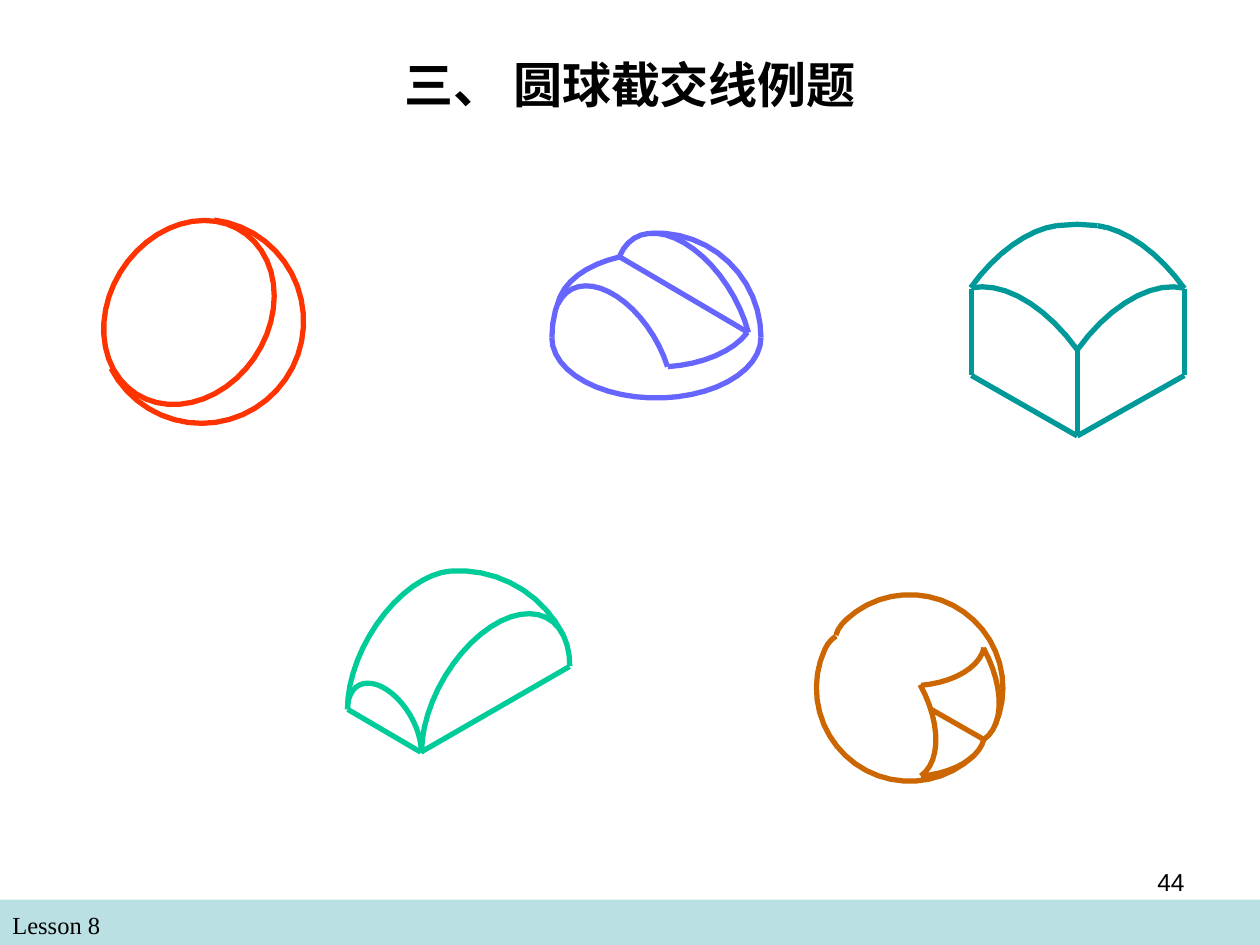
import math

import pptx
import pptx.util
import pptx.dml.color
import pptx.enum.shapes
import pptx.enum.text
import pptx.oxml.ns
from lxml import etree

WIDE, HIGH = pptx.util.Inches(10), pptx.util.Inches(7.5)
STEP = 8  # degrees between the points of an arc

COLORS = {
    "text": "000000", "band": "BBE0E3", "ball": "FF3300", "slot": "6666FF",
    "cube": "009999", "dome": "00CC99", "notch": "CC6600",
}

# Isometric axes: the direction of each on the slide, clockwise from the right.
AXES = {"x": 30, "y": 150, "z": -90}
FLAT = 1 / math.sqrt(3)  # minor over major axis of a circle square to an axis


def color(name):
    return pptx.dml.color.RGBColor.from_string(COLORS[name])


def emu(*nums):
    return [pptx.util.Inches(num) for num in nums]


def move(point, angle, size):
    turn = math.radians(angle)
    return point[0] + size * math.cos(turn), point[1] + size * math.sin(turn)


def arc(mid, rad, start, end, ratio=1, tilt=0):
    """Points clockwise from start to end on an ellipse whose minor axis has the tilt."""
    def angle(point):
        dist = math.dist(mid, point)
        turn = math.atan2(point[1] - mid[1], point[0] - mid[0]) - math.radians(tilt)
        return math.degrees(math.atan2(dist * math.sin(turn),
                                       dist * math.cos(turn) / ratio))

    first = angle(start)
    sweep = (angle(end) - first) % 360 or 360
    count = max(2, math.ceil(sweep / STEP))
    points = []
    for num in range(count + 1):
        turn = math.radians(first + sweep * num / count)
        along = move(mid, tilt, rad * ratio * math.cos(turn))
        points.append(move(along, tilt + 90, rad * math.sin(turn)))
    return points


class Sphere:
    def __init__(self, mid, rad):
        self.mid, self.rad = mid, rad

    def edge(self, start, end):
        """Arc of the outline."""
        return arc(self.mid, self.rad, start, end)

    def cut(self, axis, shift, start, end):
        """Arc of the section square to an axis, its centre moved along it by shift."""
        mid = move(self.mid, AXES[axis], shift)
        rad = math.sqrt(self.rad ** 2 - 1.5 * shift ** 2)
        return arc(mid, rad, start, end, FLAT, AXES[axis])


def ball():
    """A sphere with one slanted cut."""
    full = Sphere((1.6, 2.55), 0.81)
    left = (0.95, 2.16)
    return [
        arc((1.5, 2.48), 0.77, left, left, 0.82, 33.5),
        full.edge((1.7, 1.75), (0.89, 2.92)),
    ]


def slot():
    """A half sphere with a step cut along the x axis."""
    half = Sphere((5.21, 2.68), 0.83)
    west, east = (4.38, 2.68), (6.04, 2.68)
    near, far = (4.43, 2.41), (4.92, 2.04)    # left ends of the floor
    front, back = (5.3, 2.91), (5.94, 2.64)   # right ends of the floor
    floor, low, high = 0.22, 0.4, -0.25
    return [
        half.cut("z", 0, east, west),
        half.cut("z", floor, near, far),
        half.cut("z", floor, back, front),
        [far, back],
        half.cut("y", high, far, back),
        half.cut("y", low, near, front),
        half.edge(west, (4.45, 2.36)),
        half.edge((5.17, 1.85), east),
    ]


def cube():
    """A square block with a round top."""
    top = Sphere((8.55, 2.98), 1.2)
    tall, side = 0.69, 0.49
    west, east, south = (7.71, 2.98), (9.4, 2.98), (8.55, 3.46)
    left, right, front = [(col, row - tall) for col, row in (west, east, south)]
    begin, end = (8.39, 1.79), (8.71, 1.79)
    return [
        [left, west], [west, south], [south, east], [east, right], [south, front],
        top.cut("y", side, left, front),
        top.cut("x", side, front, right),
        top.cut("x", -side, left, begin),
        top.edge(begin, end),
        top.cut("y", -side, end, right),
    ]


def dome():
    """A half sphere cut by upright planes."""
    half = Sphere((3.64, 5.46), 0.93)
    left, front, right = (2.76, 5.63), (3.34, 5.97), (4.52, 5.29)
    crown = (3.58, 4.53)
    return [
        [left, front], [front, right],
        half.cut("y", 0.68, left, front),
        half.cut("x", 0.34, front, right),
        half.cut("x", -0.34, left, crown),
        half.edge(crown, (4.46, 5.04)),
    ]


def notch():
    """A sphere with a square hole along the x axis."""
    full = Sphere((7.22, 5.46), 0.74)
    side, roof = 0.29, 0.36
    left, right = (7.31, 5.43), (7.81, 5.14)      # upper corners of the mouth
    under, corner = (7.31, 6.16), (7.81, 5.87)    # lower corners of the mouth
    begin, bend, end = (6.54, 5.15), (6.63, 5.04), (6.71, 4.91)  # far mouth
    return [
        full.cut("z", roof, right, left),
        full.cut("z", -roof, corner, under),
        full.cut("y", side, left, under),
        full.cut("y", -side, right, corner),
        [(7.39, 5.63), corner],
        full.cut("y", side, begin, bend),
        full.cut("z", roof, bend, end),
        full.edge(end, (7.9, 5.76)),
        full.edge((7.73, 6), begin),
    ]


def straight(shapes, start, end):
    kind = pptx.enum.shapes.MSO_CONNECTOR.STRAIGHT
    line = shapes.add_connector(kind, *emu(*start, *end))
    etree.SubElement(line._element.spPr, pptx.oxml.ns.qn("a:effectLst"))
    return line


def curve(shapes, points):
    first, *rest = [emu(*point) for point in points]
    pen = shapes.build_freeform(*first)
    pen.add_line_segments(rest, close=False)
    shape = pen.convert_to_shape()
    shape.shadow.inherit = False
    shape.fill.background()
    return shape


def figure(slide, strokes, name):
    """Group the strokes of one solid, all in its colour."""
    shapes = slide.shapes.add_group_shape().shapes
    for points in strokes:
        item = straight(shapes, *points) if len(points) == 2 else curve(shapes, points)
        item.line.color.rgb = color(name)
        item.line.width = pptx.util.Pt(3)


def write(frame, text, size, font, align, bold=False):
    para = frame.paragraphs[0]
    para.alignment = align
    run = para.add_run()
    run.text = text
    run.font.size = pptx.util.Pt(size)
    run.font.name = font
    run.font.bold = bold
    run.font.color.rgb = color("text")
    return run


def title(slide, text):
    shape = slide.shapes.title
    shape.left, shape.top, shape.width, shape.height = emu(0.75, 0.04, 8.5, 1.25)
    shape.text_frame.vertical_anchor = pptx.enum.text.MSO_ANCHOR.MIDDLE
    font = "Noto Sans CJK SC"
    run = write(shape.text_frame, text, 28, font, pptx.enum.text.PP_ALIGN.CENTER, True)
    east = etree.SubElement(run.font._element, pptx.oxml.ns.qn("a:ea"))
    east.set("typeface", font)


def band(slide):
    kind = pptx.enum.shapes.MSO_SHAPE.RECTANGLE
    shape = slide.shapes.add_shape(kind, *emu(0, 7.14, 10, 0.36))
    shape.shadow.inherit = False
    shape.fill.solid()
    shape.fill.fore_color.rgb = color("band")
    shape.line.fill.background()


def label(slide, box, text, font, align):
    frame = slide.shapes.add_textbox(*emu(*box)).text_frame
    frame.word_wrap = True
    write(frame, text, 14, font, align)


def main():
    deck = pptx.Presentation()
    deck.slide_width, deck.slide_height = WIDE, HIGH
    slide = deck.slides.add_slide(deck.slide_layouts[5])
    align = pptx.enum.text.PP_ALIGN
    band(slide)
    label(slide, (0, 7.17, 4.83, 0.34), "Lesson 8", "Times New Roman", align.LEFT)
    label(slide, (7.17, 6.83, 2.33, 0.52), "44", "Arial", align.RIGHT)
    title(slide, "三、 圆球截交线例题")
    solids = {"slot": slot, "notch": notch, "dome": dome, "ball": ball, "cube": cube}
    for name, build in solids.items():
        figure(slide, build(), name)
    deck.save("out.pptx")


if __name__ == "__main__":
    main()
